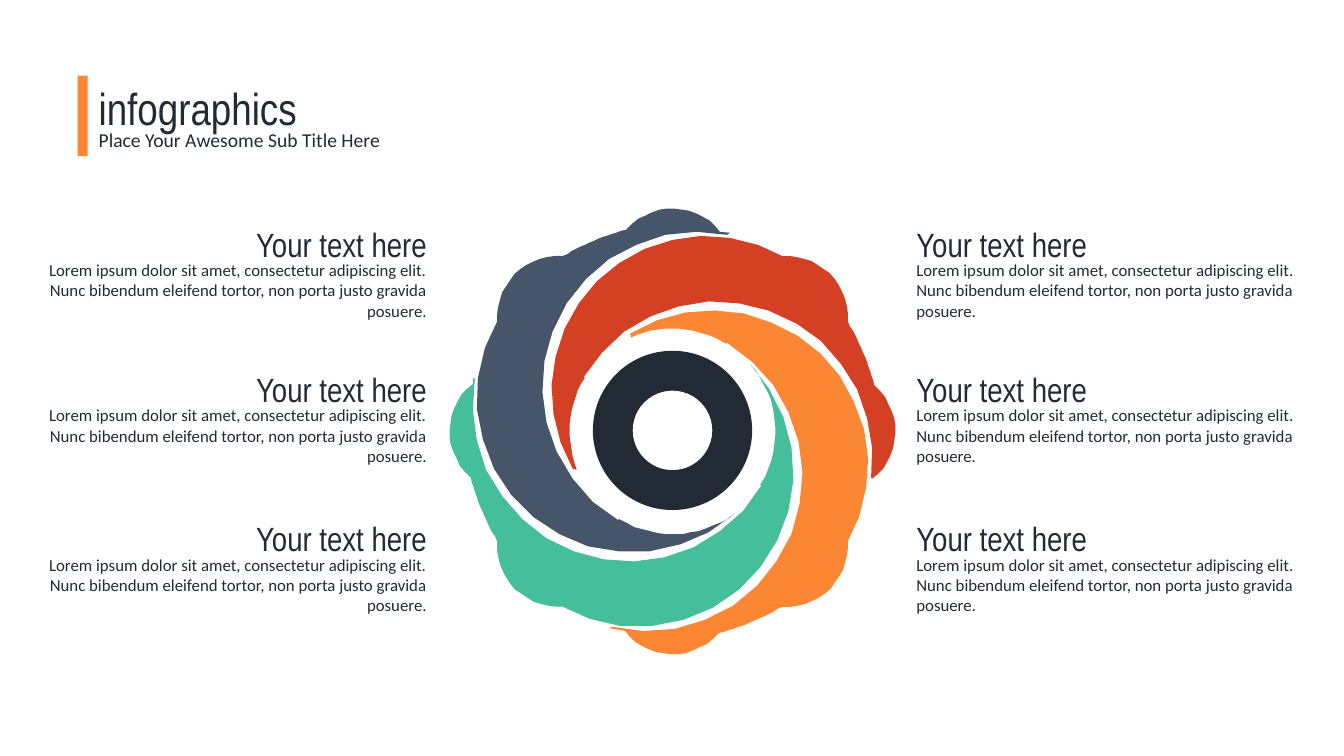
from math import cos, radians, sin

from pptx import Presentation
from pptx.dml.color import RGBColor
from pptx.enum.shapes import MSO_SHAPE
from pptx.enum.text import MSO_AUTO_SIZE, PP_ALIGN
from pptx.util import Inches, Pt

COLORS = {"ink": "222A35", "slate": "46556A", "red": "D44024", "orange": "FB8734", "green": "45BE9B"}
FORMATS = {
    "title": {"size": Pt(32), "name": "Arial Narrow"},
    "subtitle": {"size": Pt(14), "name": "Calibri"},
    "heading": {"size": Pt(24), "name": "Arial Narrow"},
    "body": {"size": Pt(12), "name": "Calibri"},
}
HEADING = "Your text here"
BODY = ("Lorem ipsum dolor sit amet, consectetur adipiscing elit. "
        "Nunc bibendum eleifend tortor, non porta justo gravida posuere.")
COLUMNS = [(8.99, PP_ALIGN.LEFT), (0.24, PP_ALIGN.RIGHT)]
ROW_TOPS = [2.17, 3.61, 5.09]

WHEEL_X, WHEEL_Y = 6.67, 4.28
# Color, angle of the inner tip, angle of the outer tip
PETALS = [("slate", 57, 286), ("red", 68, 283), ("orange", 66, 288), ("green", 54, 285)]
ARC_STEPS = 14


def paint(shape, color):
    shape.shadow.inherit = False
    shape.fill.solid()
    shape.fill.fore_color.rgb = RGBColor.from_string(COLORS[color])
    shape.line.fill.background()


def arc(center_x, center_y, radius, start, end):
    """Points along an arc, with angles in degrees clockwise from the right."""
    angles = [radians(start + (end - start) * step / ARC_STEPS) for step in range(ARC_STEPS + 1)]
    return [(center_x + radius * cos(angle), center_y + radius * sin(angle)) for angle in angles]


def petal_outline(inner_tip, outer_tip):
    """Outline of the first petal around the wheel's center."""
    return [
        *arc(0.25, -0.44, 1.54, outer_tip - 365, -239),
        *arc(0, 0, 1.02, 121, inner_tip),
        *arc(-0.4, -0.34, 1.54, inner_tip - 8, 210),
        *arc(-1.13, -1.13, 0.61, 176, 273),
        *arc(0, 0, 2.05, 238, 257),
        *arc(0, -1.6, 0.61, 222, 321),
        *arc(0, 0, 2.05, outer_tip, outer_tip),
    ]


def add_petal(page, color, inner_tip, outer_tip, turn):
    turn_cos, turn_sin = cos(radians(turn)), sin(radians(turn))
    corners = [(100 * (WHEEL_X + x * turn_cos - y * turn_sin),
                100 * (WHEEL_Y + x * turn_sin + y * turn_cos))
               for x, y in petal_outline(inner_tip, outer_tip)]
    builder = page.shapes.build_freeform(*corners[0], scale=Inches(0.01))
    builder.add_line_segments(corners[1:], close=True)
    paint(builder.convert_to_shape(), color)


def add_preset(page, kind, color, left, top, width, height):
    shape = page.shapes.add_shape(kind, Inches(left), Inches(top), Inches(width), Inches(height))
    paint(shape, color)
    return shape


def add_text(page, text, style, left, top, width, height, alignment=PP_ALIGN.LEFT):
    box = page.shapes.add_textbox(Inches(left), Inches(top), Inches(width), Inches(height))
    frame = box.text_frame
    frame.word_wrap = True
    frame.auto_size = MSO_AUTO_SIZE.SHAPE_TO_FIT_TEXT
    para = frame.paragraphs[0]
    para.alignment = alignment
    span = para.add_run()
    span.text = text
    for name, value in FORMATS[style].items():
        setattr(span.font, name, value)
    span.font.color.rgb = RGBColor.from_string(COLORS["ink"])


def add_caption(page, left, top, alignment):
    add_text(page, BODY, "body", left, top + 0.36, 4.09, 0.71, alignment)
    add_text(page, HEADING, "heading", left, top, 4.09, 0.5, alignment)


def main():
    deck = Presentation()
    deck.slide_width, deck.slide_height = Inches(13.33), Inches(7.5)
    page = deck.slides.add_slide(deck.slide_layouts[6])

    for index, (color, inner_tip, outer_tip) in enumerate(PETALS):
        add_petal(page, color, inner_tip, outer_tip, 90 * index)
    ring = add_preset(page, MSO_SHAPE.DONUT, "ink", 5.88, 3.48, 1.58, 1.58)
    ring.adjustments[0] = 0.25

    for top in ROW_TOPS:
        for left, alignment in COLUMNS:
            add_caption(page, left, top, alignment)

    add_text(page, "infographics", "title", 0.88, 0.75, 4.31, 0.64)
    add_text(page, "Place Your Awesome Sub Title Here", "subtitle", 0.88, 1.22, 4.31, 0.34)
    add_preset(page, MSO_SHAPE.RECTANGLE, "orange", 0.77, 0.75, 0.1, 0.8)
    deck.save("out.pptx")


if __name__ == "__main__":
    main()
